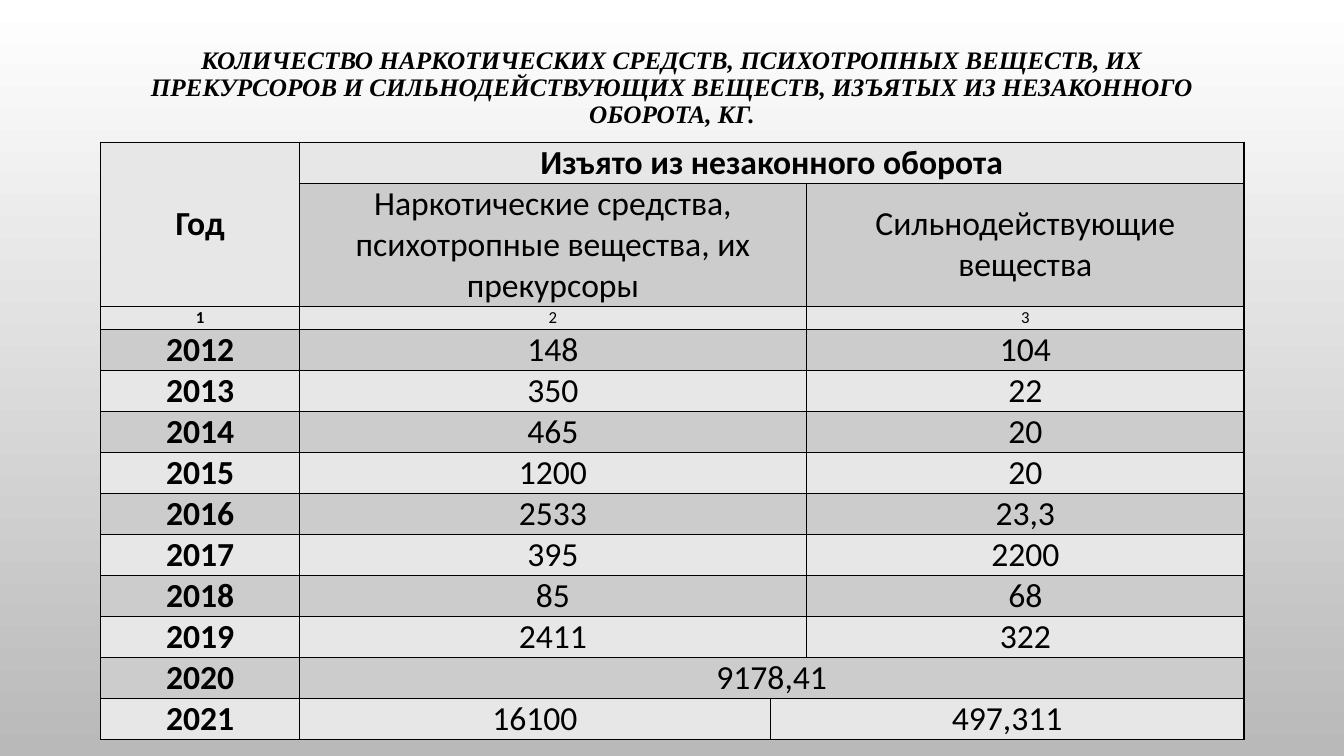
from lxml import etree
from pptx import Presentation
from pptx import util as u
from pptx.dml.color import RGBColor
from pptx.enum import text
from pptx.oxml import ns

BLACK = RGBColor(0x00, 0x00, 0x00)
WHITE = RGBColor(0xFF, 0xFF, 0xFF)
GREY = RGBColor(0xB9, 0xB9, 0xB9)
BANDS = [RGBColor(0xE7, 0xE7, 0xE7), RGBColor(0xCC, 0xCC, 0xCC)]


def write(para, words, font_format):
    """Add one centred run with the given font values."""
    para.alignment = text.PP_ALIGN.CENTER
    span = para.add_run()
    span.text = words
    span.font.color.rgb = BLACK
    for name, value in font_format.items():
        setattr(span.font, name, value)


def add_borders(cell):
    """Draw a thin black line on all four sides of a cell."""
    properties = cell._tc.get_or_add_tcPr()
    for place, side in enumerate(["lnL", "lnR", "lnT", "lnB"]):
        line = etree.Element(ns.qn("a:" + side), w=str(u.Pt(1)))
        fill = etree.SubElement(line, ns.qn("a:solidFill"))
        etree.SubElement(fill, ns.qn("a:srgbClr"), val=str(BLACK))
        properties.insert(place, line)


deck = Presentation()
deck.slide_width, deck.slide_height = u.Inches(13.33), u.Inches(7.5)
page = deck.slides.add_slide(deck.slide_layouts[5])

# Background gradient, from top to bottom
background = page.background.fill
background.gradient()
background.gradient_angle = 270
for stop, color in zip(background.gradient_stops, [WHITE, GREY]):
    stop.color.rgb = color

# Title
title = page.shapes.title
title.left, title.top = u.Inches(1), u.Inches(0)
title.width, title.height = u.Inches(11.33), u.Inches(1.75)
frame = title.text_frame
frame.word_wrap = True
frame.auto_size = text.MSO_AUTO_SIZE.NONE
frame.vertical_anchor = text.MSO_ANCHOR.MIDDLE
frame.paragraphs[0].line_spacing = 0.9
write(
    frame.paragraphs[0],
    "КОЛИЧЕСТВО НАРКОТИЧЕСКИХ СРЕДСТВ, ПСИХОТРОПНЫХ ВЕЩЕСТВ, ИХ ПРЕКУРСОРОВ "
    "И СИЛЬНОДЕЙСТВУЮЩИХ ВЕЩЕСТВ, ИЗЪЯТЫХ ИЗ НЕЗАКОННОГО ОБОРОТА, КГ.",
    {"name": "Times New Roman", "size": u.Pt(18), "bold": True, "italic": True},
)

# Table contents: the narrow third column only shifts the divider in the last row
rows = [
    ["Год", "Изъято из незаконного оборота", "", ""],
    ["", "Наркотические средства, психотропные вещества, их прекурсоры", "",
     "Сильнодействующие вещества"],
    ["1", "2", "", "3"],
    ["2012", "148", "", "104"],
    ["2013", "350", "", "22"],
    ["2014", "465", "", "20"],
    ["2015", "1200", "", "20"],
    ["2016", "2533", "", "23,3"],
    ["2017", "395", "", "2200"],
    ["2018", "85", "", "68"],
    ["2019", "2411", "", "322"],
    ["2020", "9178,41", "", ""],
    ["2021", "16100", "497,311", ""],
]
column_widths = [1.97, 4.67, 0.36, 4.34]
row_heights = [0.4, 1.22, 0.23] + [0.4] * 10
NUMBER_ROW = 2

table = page.shapes.add_table(
    len(rows), len(column_widths), u.Inches(1), u.Inches(1.41),
    u.Inches(sum(column_widths)), u.Inches(sum(row_heights)),
).table
for column, width in zip(table.columns, column_widths):
    column.width = u.Inches(width)
for row, height in zip(table.rows, row_heights):
    row.height = u.Inches(height)

# Cell text, banded fills and borders
cell_format = {
    "margin_left": u.Inches(0.07), "margin_right": u.Inches(0.07),
    "margin_top": 0, "margin_bottom": 0,
    "vertical_anchor": text.MSO_ANCHOR.MIDDLE,
}
for r, row in enumerate(rows):
    for c, words in enumerate(row):
        cell = table.cell(r, c)
        for name, value in cell_format.items():
            setattr(cell, name, value)
        cell.fill.solid()
        cell.fill.fore_color.rgb = BANDS[r % 2]
        add_borders(cell)
        if words:
            write(cell.text_frame.paragraphs[0], words, {
                "name": "Calibri",
                "size": u.Pt(12 if r == NUMBER_ROW else 24),
                "bold": r == 0 or c == 0,
            })

# Merged cells
table.cell(0, 0).merge(table.cell(1, 0))
table.cell(0, 1).merge(table.cell(0, 3))
for r in range(1, 11):
    table.cell(r, 1).merge(table.cell(r, 2))
table.cell(11, 1).merge(table.cell(11, 3))
table.cell(12, 2).merge(table.cell(12, 3))

deck.save("out.pptx")
